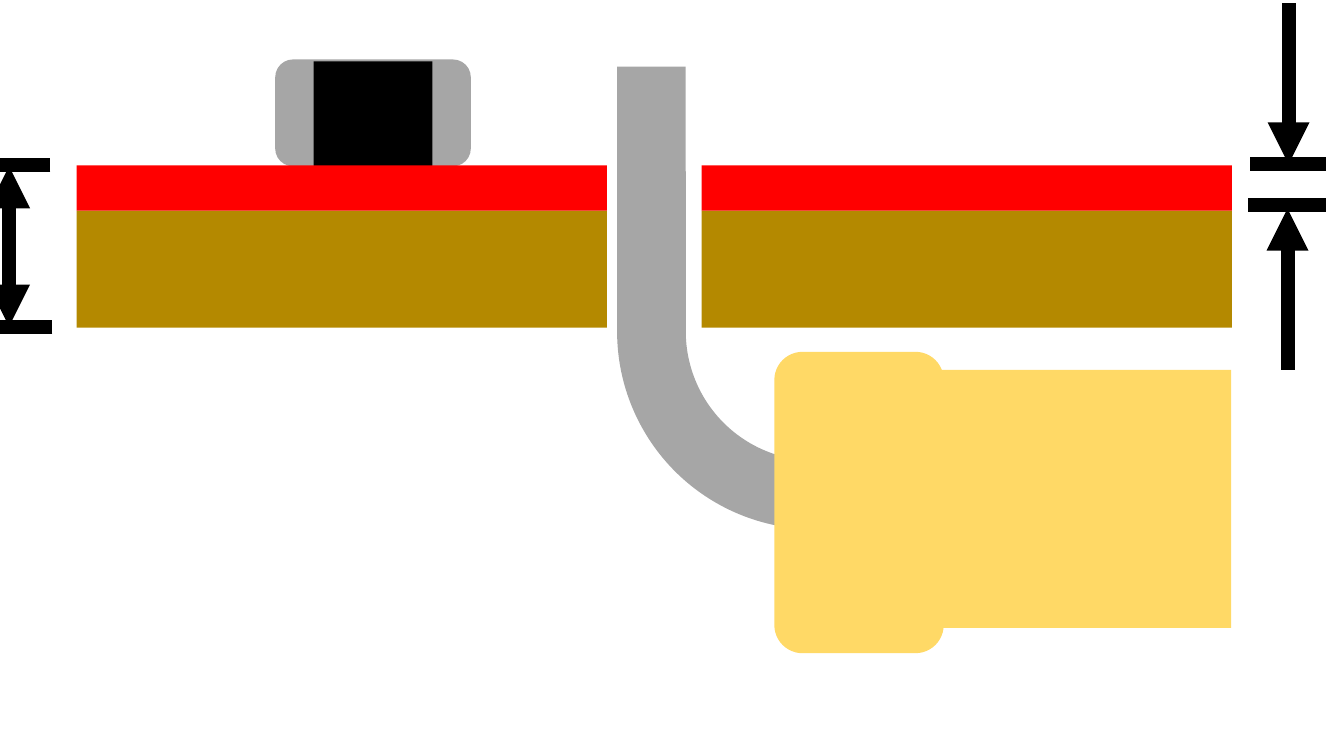
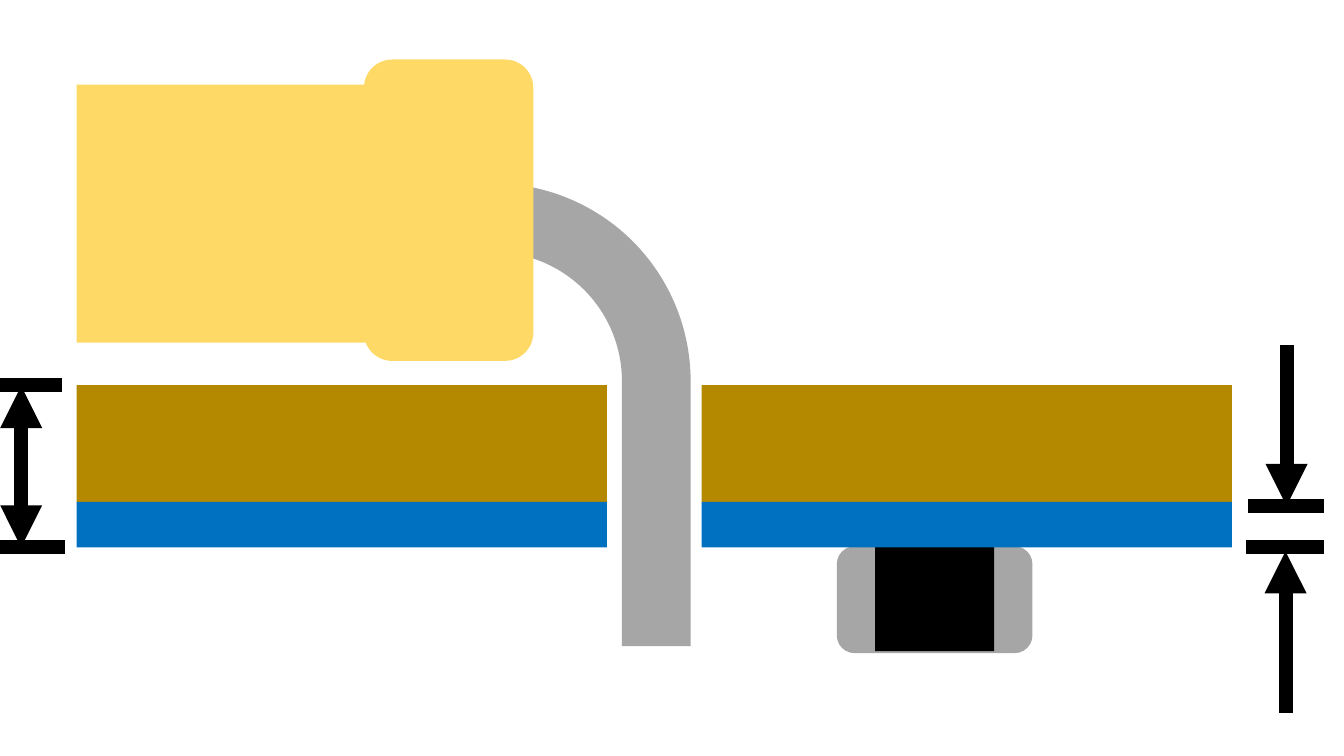
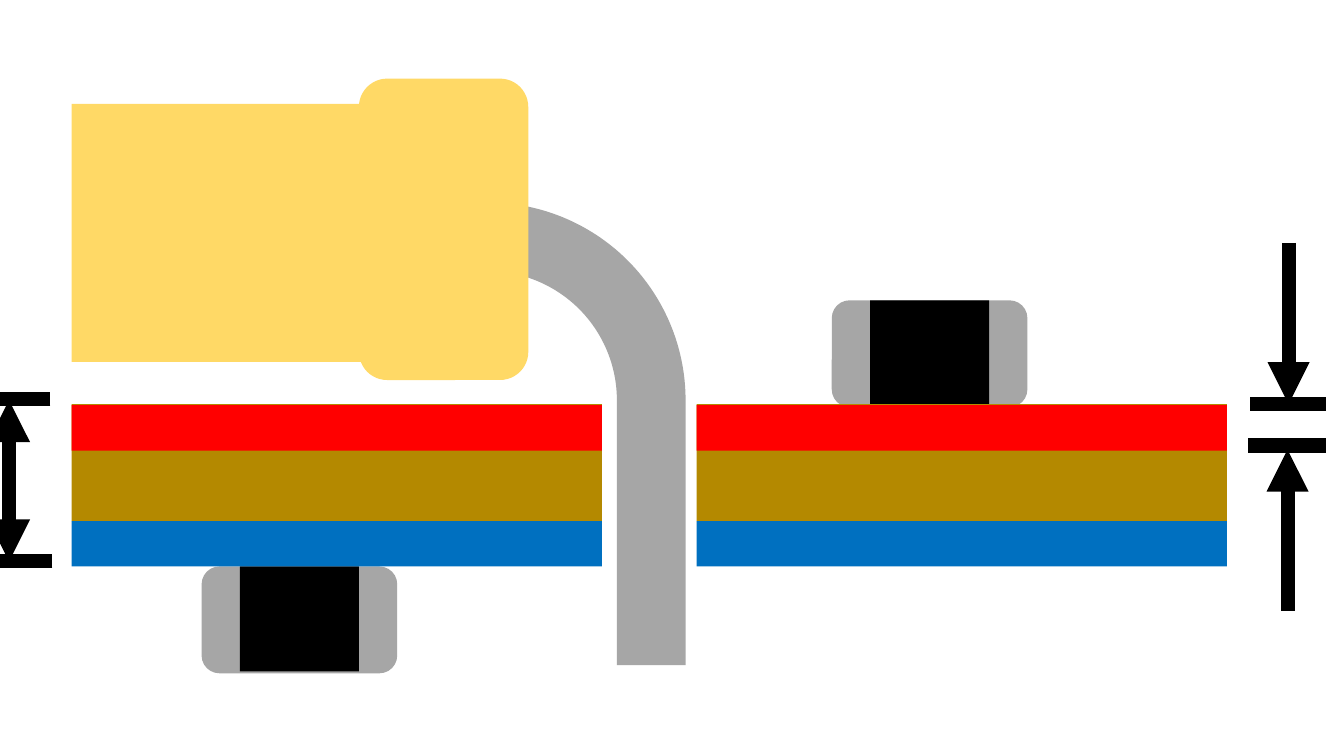
from lxml.etree import SubElement
from pptx import Presentation
from pptx.dml.color import RGBColor
from pptx.enum.shapes import MSO_CONNECTOR, MSO_SHAPE as Preset
from pptx.oxml.ns import qn
from pptx.util import Inches, Pt

SLIDE_W, SLIDE_H = 13.33, 7.5

# Materials
FIBREGLASS = RGBColor(0xB4, 0x89, 0x00)
TOP_COPPER = RGBColor(0xFF, 0x00, 0x00)
BOTTOM_COPPER = RGBColor(0x00, 0x70, 0xC0)
METAL = RGBColor(0xA6, 0xA6, 0xA6)
HOUSING = RGBColor(0xFF, 0xD9, 0x66)
BLACK = RGBColor(0x00, 0x00, 0x00)

# Shared sizes, in inches
HALF_W, HALF_PITCH = 5.26, 6.2
CORE_H, COPPER_H = 1.16, 0.45
CHIP_W, CHIP_H = 1.94, 1.06
HEADER_W, HEADER_H = 6.09, 5.82
PIN_BEND = (0.152, 0.25, 0, 0.438)
MARK_W = 0.77
MARK_PT = 10


def add_part(slide, preset, left, top, width, height, colour):
    part = slide.shapes.add_shape(
        preset, Inches(left), Inches(top), Inches(width), Inches(height))
    part.shadow.inherit = False
    part.fill.solid()
    part.fill.fore_color.rgb = colour
    part.line.fill.background()
    return part


def add_mark(slide, start, end, heads=()):
    """Draw a thick line; heads may hold 'headEnd' and 'tailEnd', in that order."""
    mark = slide.shapes.add_connector(
        MSO_CONNECTOR.STRAIGHT, *(Inches(v) for v in (*start, *end)))
    mark.line.color.rgb = BLACK
    mark.line.width = Pt(MARK_PT)
    properties = mark.element.spPr
    for head in heads:
        SubElement(properties.find(qn("a:ln")), qn(f"a:{head}"), type="triangle")
    SubElement(properties, qn("a:effectLst"))


def draw_board(slide, left, top, layers):
    """Draw both halves of the board; a layer is (colour, drop, height)."""
    for half in range(2):
        for colour, drop, height in layers:
            add_part(slide, Preset.RECTANGLE, left + half * HALF_PITCH,
                     top + drop, HALF_W, height, colour)


def draw_chip(slide, left, top, body_drop=0):
    add_part(slide, Preset.ROUNDED_RECTANGLE, left, top, CHIP_W, CHIP_H, METAL)
    add_part(slide, Preset.RECTANGLE, left + 0.38, top + body_drop,
             1.18, CHIP_H - 0.02, BLACK)


def draw_header(slide, left, top, turned=False):
    """Draw the angled pin and its housing, or the same turned by half a turn."""
    parts = (
        (Preset.BENT_ARROW, 1.61, 0.45, 4.48, 5.37, METAL),
        (Preset.ROUNDED_RECTANGLE, 2.85, 0, 1.68, 2.99, HOUSING),
        (Preset.RECTANGLE, 0, 0.25, 4.19, 2.56, HOUSING),
    )
    for preset, x, y, width, height, colour in parts:
        if turned:
            x, y = HEADER_W - x - width, HEADER_H - y - height
        part = add_part(slide, preset, left + x, top + y, width, height, colour)
        if preset == Preset.BENT_ARROW:
            for index, value in enumerate(PIN_BEND):
                part.adjustments[index] = value
            part.rotation = 180 if turned else 0
            part.element.spPr.find(qn("a:xfrm")).set("flipH", "1")


def draw_board_thickness(slide, left, top, height=1.6):
    bottom, arrow_x = top + height, left + 0.34
    add_mark(slide, (left + MARK_W - 0.02, top), (left, top))
    add_mark(slide, (left + MARK_W, bottom), (left, bottom))
    add_mark(slide, (arrow_x, top + 0.01), (arrow_x, bottom),
             ("headEnd", "tailEnd"))


def draw_copper_thickness(slide, left, top, gap=0.41, arrow=1.6):
    bottom, right = top + gap, left + MARK_W
    add_mark(slide, (right, top), (left + 0.02, top))
    add_mark(slide, (right, bottom), (left, bottom))
    add_mark(slide, (left + 0.4, top - arrow), (left + 0.4, top), ("tailEnd",))
    tip = bottom + 0.04
    add_mark(slide, (left + 0.39, tip), (left + 0.39, tip + arrow), ("headEnd",))


def build_top_copper(slide):
    draw_chip(slide, 2.73, 0.59, body_drop=0.02)
    draw_board(slide, 0.76, 1.64, ((FIBREGLASS, COPPER_H, CORE_H),
                                   (TOP_COPPER, 0, COPPER_H)))
    draw_header(slide, 6.12, 0.66, turned=True)
    draw_board_thickness(slide, -0.25, 1.64)
    draw_copper_thickness(slide, 12.38, 1.63, gap=0.4)


def build_bottom_copper(slide):
    draw_chip(slide, 8.3, 5.42)
    draw_board(slide, 0.76, 3.82, ((FIBREGLASS, 0, CORE_H),
                                   (BOTTOM_COPPER, CORE_H, COPPER_H)))
    draw_header(slide, 0.76, 0.59)
    draw_board_thickness(slide, -0.13, 3.82, height=1.61)
    draw_copper_thickness(slide, 12.36, 5.02)


def build_double_copper(slide):
    draw_chip(slide, 2, 5.62)
    draw_chip(slide, 8.25, 2.98)
    draw_board(slide, 0.71, 4.01, ((FIBREGLASS, 0, CORE_H),
                                   (BOTTOM_COPPER, CORE_H, COPPER_H),
                                   (TOP_COPPER, 0.01, COPPER_H)))
    draw_header(slide, 0.71, 0.78)
    draw_copper_thickness(slide, 12.38, 4.01)
    draw_board_thickness(slide, -0.25, 3.96, height=1.61)


deck = Presentation()
deck.slide_width, deck.slide_height = Inches(SLIDE_W), Inches(SLIDE_H)
blank = deck.slide_layouts[6]
for build in (build_top_copper, build_bottom_copper, build_double_copper):
    build(deck.slides.add_slide(blank))
deck.save("out.pptx")
